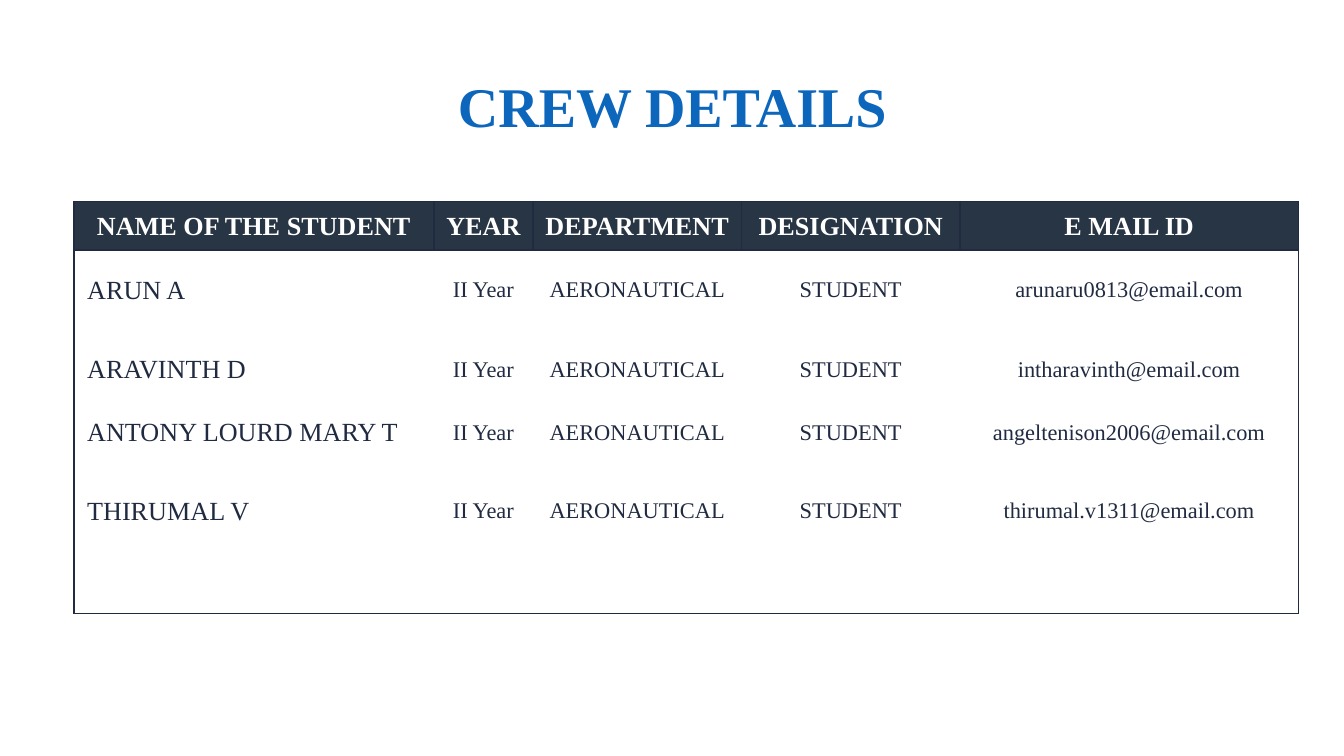
from dataclasses import dataclass

from pptx import Presentation
from pptx.dml.color import RGBColor
from pptx.enum import text as t
from pptx.oxml.xmlchemy import OxmlElement
from pptx.util import Pt

FONT = "Times New Roman"
INK = "202A41"
HEADERS = ["NAME OF THE STUDENT", "YEAR", "DEPARTMENT", "DESIGNATION", "E MAIL ID"]
COLS = [192.8, 53.2, 111.6, 117.2, 181.2]
ROWS = [25.8, 42.5, 42.5, 25.2, 59, 25.8]
INSET = 3.6


@dataclass(frozen=True)
class Student:
    name: str
    email: str

    def cells(self) -> list[str]:
        return [self.name, "II Year", "AERONAUTICAL", "STUDENT", self.email]


STUDENTS = [
    Student("ARUN A", "arunaru0813@email.com"),
    Student("ARAVINTH D", "intharavinth@email.com"),
    Student("ANTONY LOURD MARY T", "angeltenison2006@email.com"),
    Student("THIRUMAL V", "thirumal.v1311@email.com"),
]


def color(value: str) -> RGBColor:
    return RGBColor.from_string(value)


def write(tf, text: str, *, size: float, fill: str, bold: bool = False,
          align=t.PP_ALIGN.CENTER, spacing: float | None = None) -> None:
    p = tf.paragraphs[0]
    p.alignment = align
    if spacing:
        p.line_spacing = Pt(spacing)
    r = p.add_run()
    r.text = text
    r.font.name = FONT
    r.font.size = Pt(size)
    r.font.bold = bold
    r.font.color.rgb = color(fill)


def set_borders(cell, sides: str) -> None:
    tcPr = cell._tc.get_or_add_tcPr()
    for side in "LRTB":
        ln = OxmlElement(f"a:ln{side}")
        ln.set("w", str(Pt(1)))
        if side in sides:
            fill = OxmlElement("a:solidFill")
            clr = OxmlElement("a:srgbClr")
            clr.set("val", INK)
            fill.append(clr)
        else:
            fill = OxmlElement("a:noFill")
        ln.append(fill)
        tcPr.append(ln)


def outer_sides(row: int, col: int) -> str:
    if row == 0:
        return "LRTB"
    edges = {"L": col == 0, "R": col == len(COLS) - 1,
             "T": row == 1, "B": row == len(ROWS) - 1}
    return "".join(side for side, on in edges.items() if on)


def draw_cell(cell, text: str, row: int, col: int) -> None:
    header, name = row == 0, row > 0 and col == 0
    set_borders(cell, outer_sides(row, col))
    cell.vertical_anchor = t.MSO_ANCHOR.MIDDLE
    cell.margin_left = Pt(INSET + 3.5 if name else INSET)
    cell.margin_right = cell.margin_top = cell.margin_bottom = Pt(INSET)
    if header:
        cell.fill.solid()
        cell.fill.fore_color.rgb = color("283544")
    else:
        cell.fill.background()
    if not text:
        end = OxmlElement("a:endParaRPr")
        end.set("sz", "1200")
        cell.text_frame.paragraphs[0]._p.append(end)
        return
    large = header or name
    write(cell.text_frame, text, size=14 if large else 12,
          fill="FFFFFF" if header else INK, bold=header,
          align=t.PP_ALIGN.LEFT if name else t.PP_ALIGN.CENTER,
          spacing=16.5 if large else 14.2)


def draw_title(s, text: str) -> None:
    sp = s.shapes.title
    sp.left, sp.top, sp.width, sp.height = Pt(164), Pt(31), Pt(392.4), Pt(45.4)
    tf = sp.text_frame
    tf.word_wrap = True
    tf.auto_size = t.MSO_AUTO_SIZE.NONE
    tf.vertical_anchor = t.MSO_ANCHOR.TOP
    tf.margin_left = tf.margin_right = tf.margin_top = tf.margin_bottom = Pt(7.2)
    write(tf, text, size=30, fill="0B66BC", bold=True)


def draw_crew_table(s) -> None:
    frame = s.shapes.add_table(len(ROWS), len(COLS), Pt(39.6), Pt(108),
                               Pt(sum(COLS)), Pt(sum(ROWS)))
    table = frame.table
    table.first_row = table.horz_banding = False
    for column, width in zip(table.columns, COLS):
        column.width = Pt(width)
    for row, height in zip(table.rows, ROWS):
        row.height = Pt(height)
    lines = [HEADERS, *(st.cells() for st in STUDENTS), [""] * len(COLS)]
    for i, line in enumerate(lines):
        for j, text in enumerate(line):
            draw_cell(table.cell(i, j), text, i, j)


def main() -> None:
    prs = Presentation()
    prs.slide_width, prs.slide_height = Pt(720), Pt(405)
    s = prs.slides.add_slide(prs.slide_layouts[5])
    draw_title(s, "CREW DETAILS")
    draw_crew_table(s)
    prs.save("out.pptx")


if __name__ == "__main__":
    main()
